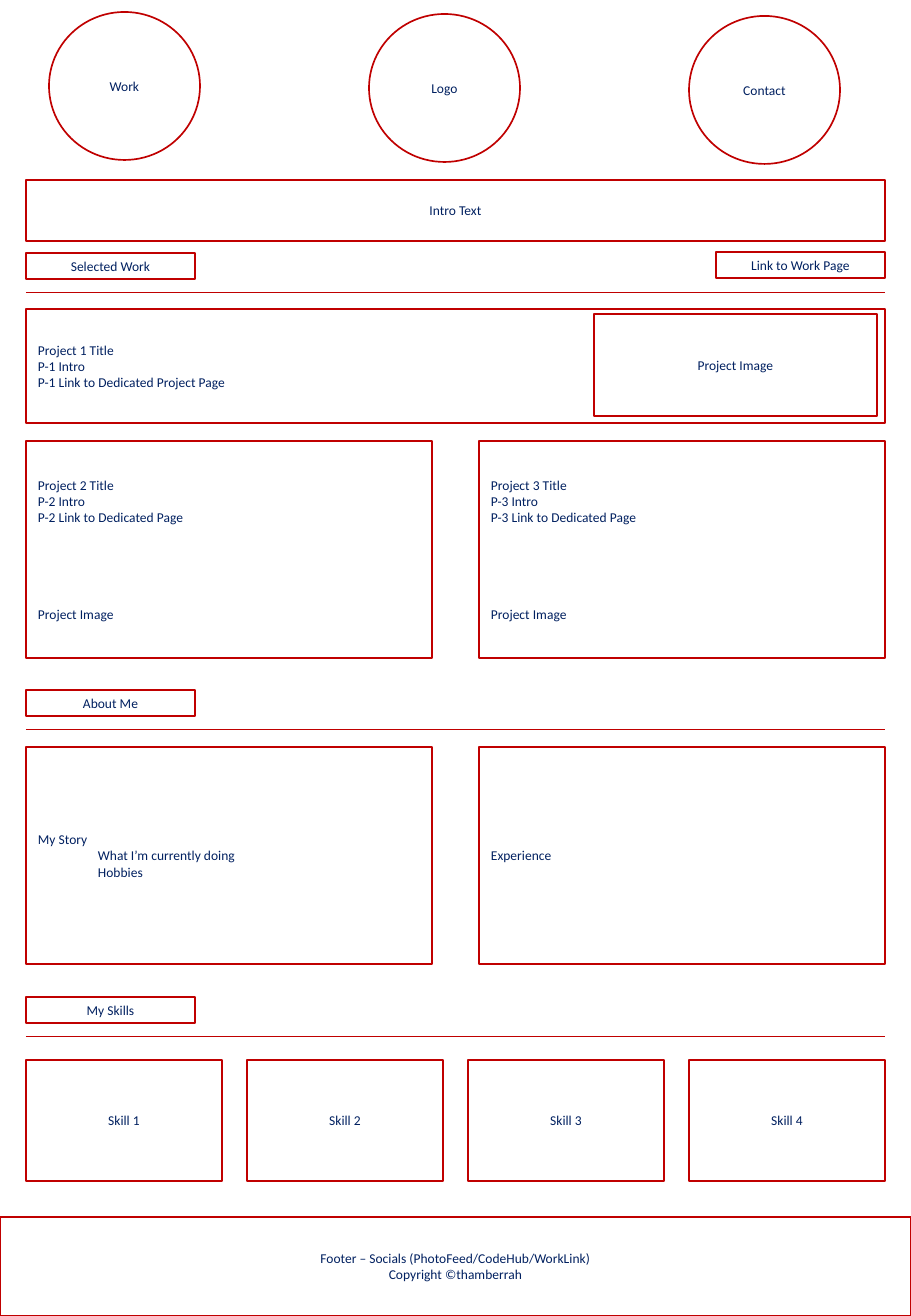
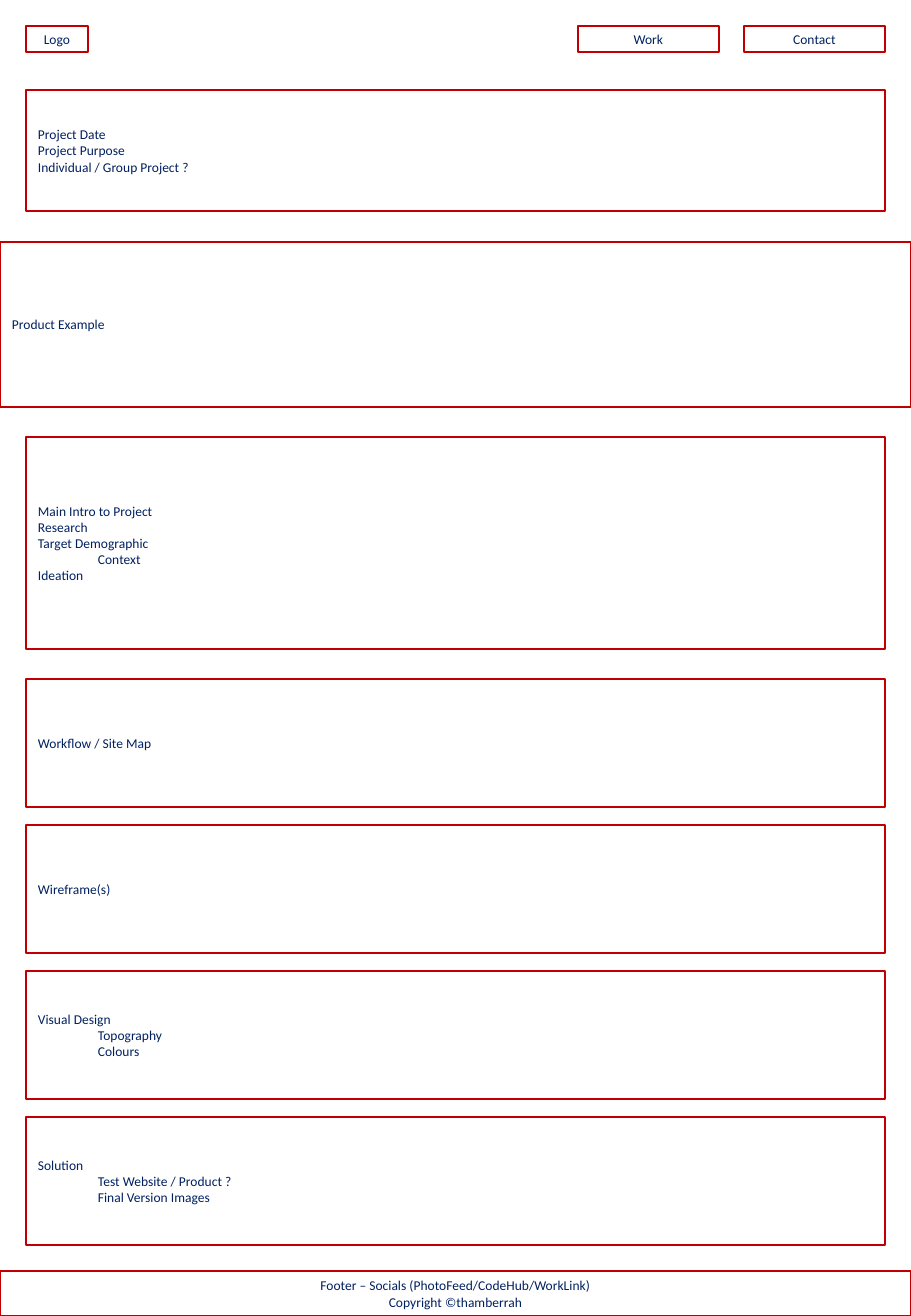
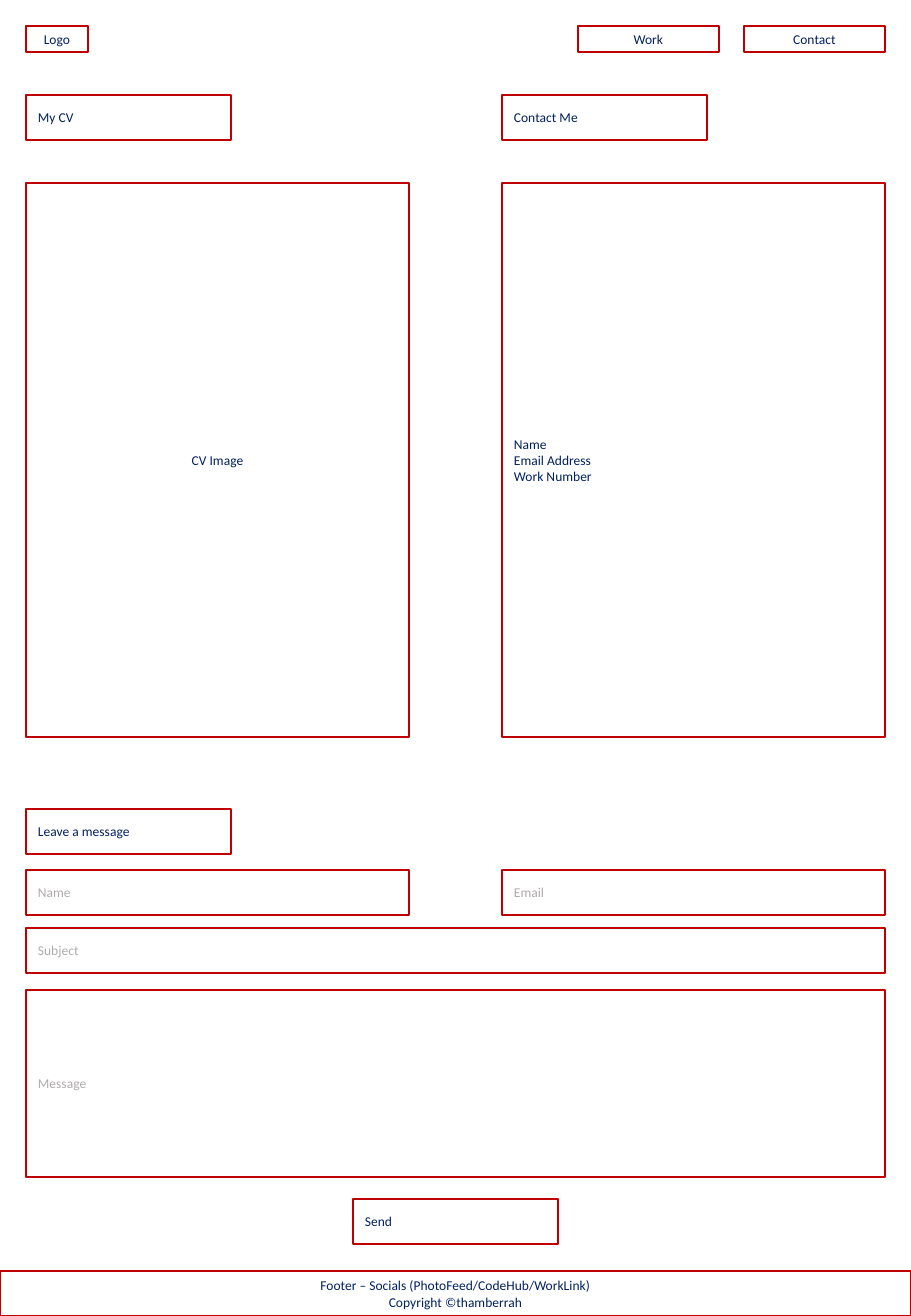
"""Build three portfolio wireframes: home page, project page and contact page."""
from lxml import etree
from pptx import Presentation
from pptx import util as u
from pptx.dml.color import RGBColor
from pptx.enum import shapes, text
from pptx.oxml.ns import qn

RED = RGBColor(0xC0, 0x00, 0x00)
NAVY = RGBColor(0x00, 0x20, 0x60)
GREY = RGBColor(0xAF, 0xAB, 0xAB)
FONT, SIZE = "Calibri", u.Pt(8)
LEFT, CENTER = text.PP_ALIGN.LEFT, text.PP_ALIGN.CENTER
RECT, OVAL = shapes.MSO_SHAPE.RECTANGLE, shapes.MSO_SHAPE.OVAL
PX = 7526
PAGE_W, PAGE_H = 911, 1316
MARGIN, RIGHT = 26, 885
FULL = RIGHT - MARGIN
INDENT = 60
FOOTER = ["Footer – Socials (PhotoFeed/CodeHub/WorkLink)", "Copyright ©thamberrah"]


def box(s, x, y, w, h, lines, align=LEFT, color=NAVY, kind=RECT, indented=()):
    """Add an outlined shape with one paragraph per line; return its paragraphs."""
    sp = s.shapes.add_shape(kind, x * PX, y * PX, w * PX, h * PX)
    sp.shadow.inherit = False
    sp.fill.background()
    sp.line.color.rgb = RED
    sp.line.width = u.Pt(1)
    tf = sp.text_frame
    tf.word_wrap = True
    tf.vertical_anchor = text.MSO_ANCHOR.MIDDLE
    tf.text = "\n".join(lines)
    for p in tf.paragraphs:
        p.alignment = align
        if p.text in indented:
            p._p.get_or_add_pPr().set("marL", str(INDENT * PX))
        for r in p.runs:
            r.font.name, r.font.size = FONT, SIZE
            r.font.color.rgb = color
    return tf.paragraphs


def rule(s, y):
    """Add a thin line from margin to margin."""
    line = s.shapes.add_connector(shapes.MSO_CONNECTOR.STRAIGHT,
                                  MARGIN * PX, y * PX, RIGHT * PX, y * PX)
    line.line.color.rgb = RED
    line.line.width = u.Pt(0.5)
    etree.SubElement(line._element.spPr, qn("a:effectLst"))


prs = Presentation()
prs.slide_width, prs.slide_height = PAGE_W * PX, PAGE_H * PX
home, project, contact = [prs.slides.add_slide(prs.slide_layouts[6]) for _ in range(3)]

for s in (project, contact):
    for label, x, w in (("Logo", MARGIN, 62), ("Work", 578, 141), ("Contact", 744, 141)):
        box(s, x, 26, w, 26, [label], CENTER)
for s, y in ((home, 1217), (project, 1271), (contact, 1271)):
    box(s, 0, y, PAGE_W, PAGE_H - y, FOOTER, CENTER)

for i, label in enumerate(("Work", "Logo", "Contact")):
    box(home, 49 + 320 * i, 12 + 2 * i, 151, 148, [label], CENTER, kind=OVAL)
box(home, MARGIN, 180, FULL, 61, ["Intro Text"], CENTER)
for label, y in (("Selected Work", 253), ("About Me", 690), ("My Skills", 997)):
    box(home, MARGIN, y, 169, 26, [label], CENTER)
    rule(home, y + 39)
box(home, 716, 252, 169, 26, ["Link to Work Page"], CENTER)

box(home, MARGIN, 309, FULL, 114,
    ["Project 1 Title", "P-1 Intro", "P-1 Link to Dedicated Project Page"])
box(home, 594, 314, 283, 102, ["Project Image"], CENTER)
for n, x in ((2, MARGIN), (3, 479)):
    paragraphs = box(home, x, 441, 406, 217,
                     [f"Project {n} Title", f"P-{n} Intro",
                      f"P-{n} Link to Dedicated Page", "Project Image"])
    paragraphs[-1].space_before = u.Pt(48)

story = ["My Story", "What I’m currently doing", "Hobbies"]
box(home, MARGIN, 747, 406, 217, story, indented=story[1:])
box(home, 479, 747, 406, 217, ["Experience"])
for i in range(4):
    box(home, MARGIN + 221 * i, 1060, 196, 121, [f"Skill {i + 1}"], CENTER)

box(project, MARGIN, 90, FULL, 121,
    ["Project Date", "Project Purpose", "Individual / Group Project ?"])
box(project, 0, 242, PAGE_W, 165, ["Product Example"])
box(project, MARGIN, 437, FULL, 212,
    ["Main Intro to Project", "Research", "Target Demographic", "Context", "Ideation"],
    indented=["Context"])
stages = (["Workflow / Site Map"],
          ["Wireframe(s)"],
          ["Visual Design", "Topography", "Colours"],
          ["Solution", "Test Website / Product ?", "Final Version Images"])
for i, lines in enumerate(stages):
    box(project, MARGIN, 679 + 146 * i, FULL, 128, lines, indented=lines[1:])

COLUMN_2, COLUMN_W = 502, 383
for label, x, y in (("My CV", MARGIN, 95), ("Contact Me", COLUMN_2, 95),
                    ("Leave a message", MARGIN, 809), ("Send", 353, 1199)):
    box(contact, x, y, 205, 45, [label])
box(contact, MARGIN, 183, COLUMN_W, 554, ["CV Image"], CENTER)
box(contact, COLUMN_2, 183, COLUMN_W, 554, ["Name", "Email Address", "Work Number"])
for label, x, y, w, h in (("Name", MARGIN, 870, COLUMN_W, 45),
                          ("Email", COLUMN_2, 870, COLUMN_W, 45),
                          ("Subject", MARGIN, 928, FULL, 45),
                          ("Message", MARGIN, 990, FULL, 187)):
    box(contact, x, y, w, h, [label], color=GREY)

prs.save("out.pptx")
